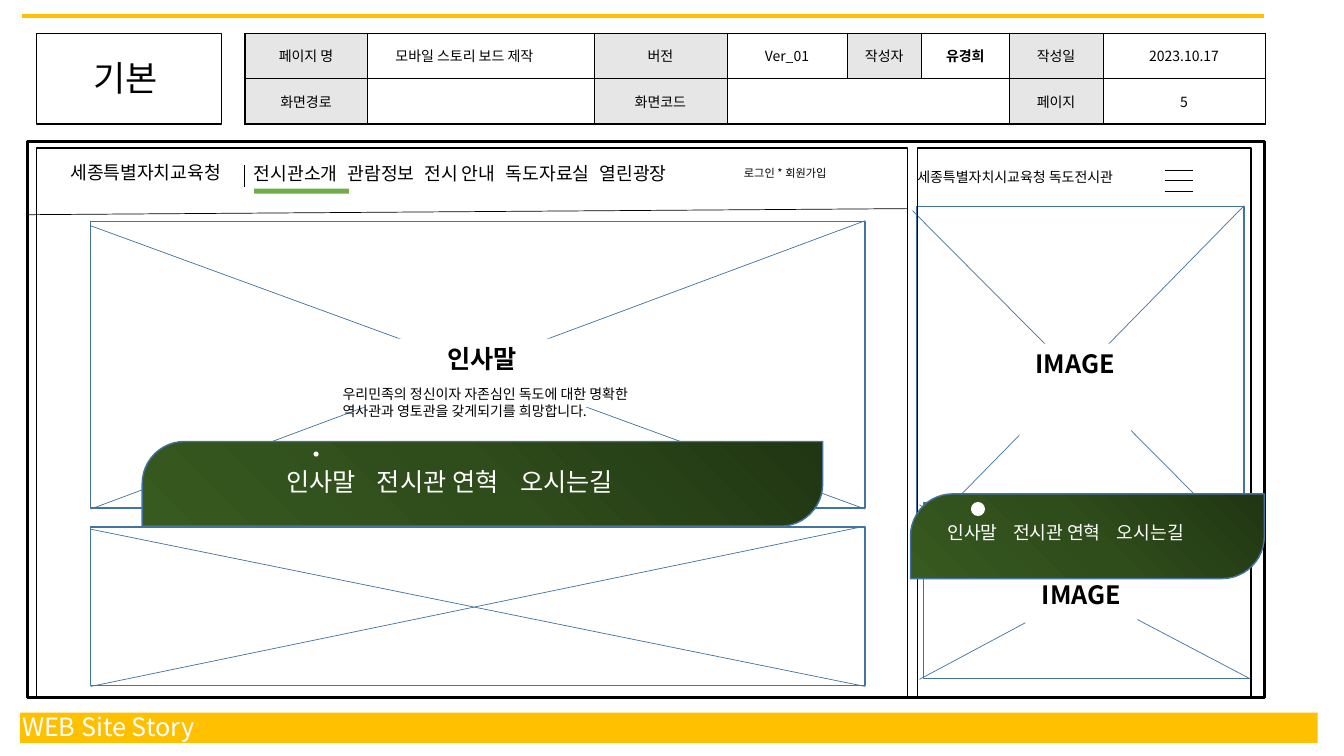
from lxml.etree import SubElement
from pptx import Presentation
from pptx.dml.color import RGBColor
from pptx.enum.shapes import MSO_CONNECTOR as LINK, MSO_SHAPE as FORM
from pptx.enum.text import MSO_ANCHOR as ANCHOR, PP_ALIGN as ALIGN
from pptx.oxml import parse_xml
from pptx.oxml.ns import nsdecls, qn
from pptx.util import Emu, Pt

PX = 9144  # EMU in one px, 100 px to the inch
FONT = "Noto Sans CJK KR"
HUES = {
    "ink": "000000", "paper": "FFFFFF", "gold": "FFC000", "gray": "E7E6E6",
    "blue": "43739E", "green": "70AD47",
}
GRAD = [(0, "213613"), (50, "2F4C1B"), (100, "375A20")]

# Header table: column edges, row edges, cell texts
COLS = [243, 364, 589, 721, 840, 914, 1001, 1094, 1255]
ROWS = [33, 78, 123]
CELLS = [
    ["페이지 명", "모바일 스토리 보드 제작", "버전", "Ver_01",
     "작성자", "유경희", "작성일", "2023.10.17"],
    ["화면경로", "", "화면코드", "", "", "", "페이지", "5"],
]
SHADED = {(0, 0), (1, 0), (0, 2), (1, 2), (0, 4), (0, 6), (1, 6)}
BOLD = {"유경희"}

# Placeholders: box, overhang at left, drop of first diagonal
CROSSES = [
    ((916, 499, 325, 174), 4, 2),
    ((90, 220, 768, 284), 0, 4),
    ((90, 523, 768, 157), 0, 2),
    ((909, 205, 325, 334), 4, 4),
]
# Labels on placeholders: box, text
LABELS = [
    ((1017, 570, 111, 51), "IMAGE"),
    ((330, 336, 296, 68), "인사말"),
    ((1011, 341, 111, 97), "IMAGE"),
]
# Outlined frames: box, line width
FRAMES = [
    ((27, 140, 1227, 552), 2.25),
    ((36, 33, 184, 90), 1),
    ((910, 147, 331, 544), 1),
    ((36, 147, 864, 544), 1),
]
# Lines: from, to, colour, width
LINES = [
    ((22, 16), (1254, 16), "gold", 3),
    ((242, 164), (242, 186), "ink", 0.5),
    ((27, 213), (900, 207), "ink", 0.5),
] + [((1155, y), (1183, y), "ink", 1) for y in (169, 179, 190)]
BARS = [((20, 707, 1287, 30), "gold"), ((252, 187, 94, 5), "green")]
PILLS = [(141, 438, 675, 84), (903, 490, 351, 84)]
DOTS = [(311, 448, 5, 5), (963, 498, 14, 14)]

# Texts: box, text, size, colour, tab stops
MENU = "인사말\t전시관 연혁\t오시는길"
TEXTS = [
    ((83, 51, 106, 52), "기본", 25, "ink", []),
    ((12, 701, 322, 40), "WEB Site Story", 18, "paper", []),
    ((900, 162, 284, 58), "세종특별자치시교육청 독도전시관", 10, "ink", []),
    ((60, 155, 180, 32), "세종특별자치교육청", 13, "ink", []),
    ((242, 156, 499, 32), "전시관소개\t관람정보\t전시 안내\t독도자료실\t열린광장",
     13, "ink", [93, 169, 250, 343]),
    ((728, 160, 130, 24), "로그인 * 회원가입", 8, "ink", []),
    ((330, 378, 316, 61),
     "우리민족의 정신이자 자존심인 독도에 대한 명확한 역사관과 영토관을 갖게되기를 희망합니다.",
     10, "ink", []),
    ((274, 458, 386, 40), MENU, 18, "paper", [90, 232]),
    ((930, 512, 320, 32), MENU, 13, "paper", [65, 168]),
]

deck = Presentation()
deck.slide_width, deck.slide_height = Emu(1333 * PX), Emu(750 * PX)
slide = deck.slides.add_slide(deck.slide_layouts[6])
shapes = slide.shapes


def scale(box):
    return [Emu(n * PX) for n in box]


def tint(name):
    return RGBColor.from_string(HUES[name])


def write(frame, text, size, hue="ink", bold=False, align=ALIGN.LEFT, tabs=()):
    frame.word_wrap = True
    par = frame.paragraphs[0]
    par.text, par.alignment = text, align
    font = par.font
    font.size, font.bold, font.name = Pt(size), bold, FONT
    font.color.rgb = tint(hue)
    props = par._p.pPr
    SubElement(props.find(qn("a:defRPr")), qn("a:ea"), typeface=FONT)
    if tabs:
        stops = parse_xml(f"<a:tabLst {nsdecls('a')}/>")
        for x in tabs:
            SubElement(stops, qn("a:tab"), pos=str(x * PX), algn="l")
        props.insert(0, stops)


def draw(box, form=FORM.RECTANGLE, fill=None, line=None, width=1):
    shape = shapes.add_shape(form, *scale(box))
    shape.shadow.inherit = False
    if fill:
        shape.fill.solid()
        shape.fill.fore_color.rgb = tint(fill)
    else:
        shape.fill.background()
    if line:
        shape.line.color.rgb = tint(line)
        shape.line.width = Pt(width)
    else:
        shape.line.fill.background()
    return shape


def rule(start, end, hue, width):
    line = shapes.add_connector(LINK.STRAIGHT, *scale(start + end))
    line.line.color.rgb = tint(hue)
    line.line.width = Pt(width)
    SubElement(line._element.spPr, qn("a:effectLst"))


def edge(cell, widths):
    props = cell._tc.get_or_add_tcPr()
    for i, (side, width) in enumerate(zip("LRTB", widths)):
        props.insert(i, parse_xml(
            f'<a:ln{side} {nsdecls("a")} w="{Pt(width)}"><a:solidFill>'
            f'<a:srgbClr val="{HUES["ink"]}"/></a:solidFill></a:ln{side}>'))


def shade(shape):
    stops = "".join(f'<a:gs pos="{pos * 1000}"><a:srgbClr val="{hue}"/></a:gs>'
                    for pos, hue in GRAD)
    grad = parse_xml(
        f'<a:gradFill {nsdecls("a")}><a:gsLst>{stops}</a:gsLst><a:path path="circle">'
        '<a:fillToRect l="100000" b="100000"/></a:path></a:gradFill>')
    props = shape._element.spPr
    props.replace(props.find(qn("a:noFill")), grad)


# Placeholders with diagonals
for box, over, drop in CROSSES:
    left, top, wide, high = box
    right, low = left + wide, top + high + 1
    draw(box, line="blue")
    rule((left - over, top + drop), (right, low), "blue", 0.5)
    rule((right, top - 1), (left - over, low), "blue", 0.5)
for box, text in LABELS:
    label = draw(box, fill="paper")
    label.text_frame.vertical_anchor = ANCHOR.TOP
    write(label.text_frame, text, 18, bold=True, align=ALIGN.CENTER)

# Frames, bars and lines
for box, width in FRAMES:
    draw(box, line="ink", width=width)
for box, hue in BARS:
    draw(box, fill=hue)
for item in LINES:
    rule(*item)

# Header table
box = (COLS[0], ROWS[0], COLS[-1] - COLS[0], ROWS[-1] - ROWS[0])
table = shapes.add_table(len(CELLS), len(CELLS[0]), *scale(box)).table
table.first_row = table.horz_banding = False
for col, a, b in zip(table.columns, COLS, COLS[1:]):
    col.width = Emu((b - a) * PX)
for row, a, b in zip(table.rows, ROWS, ROWS[1:]):
    row.height = Emu((b - a) * PX)
for r, texts in enumerate(CELLS):
    for c, text in enumerate(texts):
        cell = table.cell(r, c)
        cell.margin_left = cell.margin_right = cell.margin_top = cell.margin_bottom = 0
        cell.vertical_anchor = ANCHOR.MIDDLE
        cell.fill.solid()
        cell.fill.fore_color.rgb = tint("gray" if (r, c) in SHADED else "paper")
        outer = (c == 0, c == len(texts) - 1, r == 0, r == len(CELLS) - 1)
        edge(cell, [1 if out else 0.5 for out in outer])
        write(cell.text_frame, text, 10, bold=text in BOLD, align=ALIGN.CENTER)
table.cell(0, 1).margin_right = Emu(32 * PX)
table.cell(1, 3).merge(table.cell(1, 5))

# Menu pills
for box in PILLS:
    pill = draw(box, FORM.ROUND_2_DIAG_RECTANGLE, line="blue")
    pill.adjustments[0], pill.adjustments[1] = 0.5, 0
    shade(pill)
for box in DOTS:
    draw(box, FORM.OVAL, fill="paper")

# Texts
for box, text, size, hue, tabs in TEXTS:
    write(shapes.add_textbox(*scale(box)).text_frame, text, size, hue, tabs=tabs)

deck.save("out.pptx")
